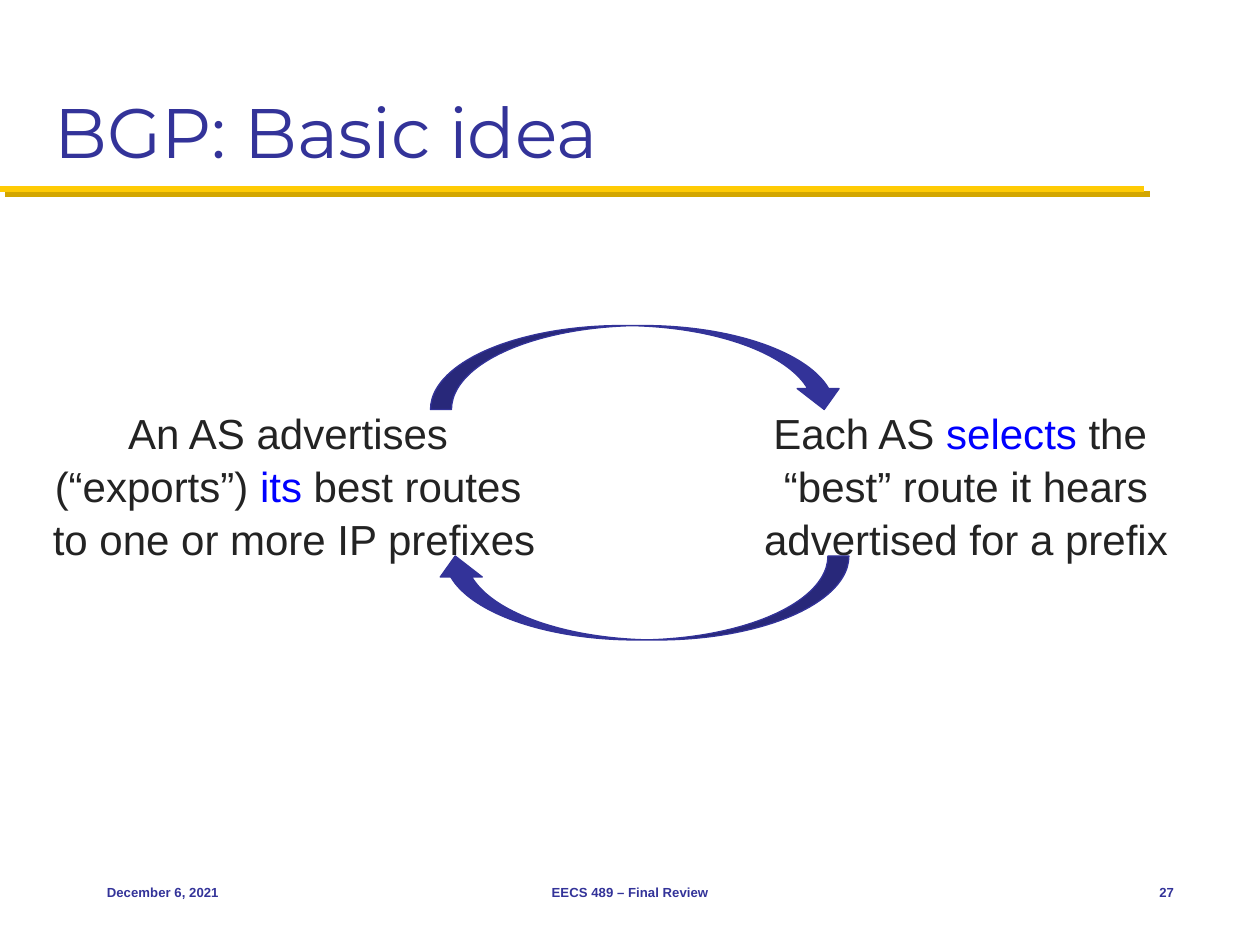
from dataclasses import dataclass

from lxml.etree import SubElement
from pptx import Presentation
from pptx.dml.color import RGBColor
from pptx.enum.shapes import MSO_CONNECTOR as Connector, MSO_SHAPE as Shape
from pptx.enum.text import MSO_ANCHOR as Anchor, PP_ALIGN as Align
from pptx.oxml.ns import qn
from pptx.util import Inches, Pt

CELL = Inches(1) / 12  # the slide is a grid of 120 columns by 90 rows
COLUMNS, ROWS = 120, 90


@dataclass(frozen=True)
class Theme:
    indigo: str = "333399"
    ink: str = "232323"
    accent: str = "0000FF"
    gold: str = "FFCB05"
    dark_gold: str = "D3A600"
    heading_font: str = "Montserrat"
    body_font: str = "Arial"
    title_size: float = 40
    body_size: float = 24
    footer_size: float = 7.5


THEME = Theme()


def grid(*cells):
    return [round(cell * CELL) for cell in cells]


def style_run(run, size, color, font=THEME.body_font, bold=False):
    run.font.name = font
    run.font.size = Pt(size)
    run.font.bold = bold
    run.font.color.rgb = RGBColor.from_string(color)


def add_text_box(slide, area, anchor, align):
    """Add an empty wrapping box and return its first paragraph."""
    frame = slide.shapes.add_textbox(*grid(*area)).text_frame
    frame.word_wrap = True
    frame.vertical_anchor = anchor
    paragraph = frame.paragraphs[0]
    paragraph.alignment = align
    return paragraph


def add_title(slide, title):
    paragraph = add_text_box(slide, (4, 2, 112, 15), Anchor.BOTTOM, Align.LEFT)
    paragraph.text = title
    style_run(paragraph.runs[0], THEME.title_size, THEME.indigo, THEME.heading_font)


def add_title_rule(slide):
    """Draw the gold rule with its hard, darker shadow."""
    rule = slide.shapes.add_connector(Connector.STRAIGHT, *grid(0, 18, 109, 18))
    rule.line.color.rgb = RGBColor.from_string(THEME.gold)
    rule.line.width = Pt(3.5)
    effects = SubElement(rule._element.spPr, qn("a:effectLst"))
    shadow = SubElement(effects, qn("a:outerShdw"), blurRad="0",
                        dist=str(Pt(4.2)), dir=str(45 * 60000),
                        algn="ctr", rotWithShape="0")
    SubElement(shadow, qn("a:srgbClr"), val=THEME.dark_gold)


def add_statement(slide, area, before, keyword, after):
    """Add a centred statement whose keyword stands out in colour."""
    paragraph = add_text_box(slide, area, Anchor.TOP, Align.CENTER)
    paragraph.line_spacing = 1.05
    for words, color in ((before, THEME.ink), (keyword, THEME.accent),
                         (after, THEME.ink)):
        for index, line in enumerate(words.split("\n")):
            if index:
                paragraph.add_line_break()
            run = paragraph.add_run()
            run.text = line
            style_run(run, THEME.body_size, color)


def add_cycle_arrow(slide, left, top, rotation):
    arrow = slide.shapes.add_shape(Shape.CURVED_LEFT_ARROW,
                                   *grid(left, top, 8, 39.5))
    arrow.rotation = rotation
    arrow.shadow.inherit = False
    indigo = RGBColor.from_string(THEME.indigo)
    arrow.fill.solid()
    arrow.fill.fore_color.rgb = indigo
    arrow.line.color.rgb = indigo
    arrow.line.width = Pt(0.75)


def add_footer(slide, left, width, words, align):
    paragraph = add_text_box(slide, (left, 82, width, 6), Anchor.MIDDLE, align)
    paragraph.text = words
    style_run(paragraph.runs[0], THEME.footer_size, THEME.indigo, bold=True)


def main():
    deck = Presentation()
    deck.slide_width, deck.slide_height = grid(COLUMNS, ROWS)
    slide = deck.slides.add_slide(deck.slide_layouts[6])

    add_title_rule(slide)
    add_title(slide, "BGP: Basic idea")

    add_statement(slide, (64, 38, 56, 17), "Each AS ", "selects",
                  " the \n“best” route it hears advertised for a prefix")
    add_cycle_arrow(slide, 56.75, 15.25, 270)
    add_statement(slide, (3, 38, 50, 17), "An AS advertises \n(“exports”) ", "its",
                  " best routes \nto one or more IP prefixes")
    add_cycle_arrow(slide, 57.1, 37.2, 90)

    add_footer(slide, 9, 25, "December 6, 2021", Align.LEFT)
    add_footer(slide, 41, 38, "EECS 489 – Final Review", Align.CENTER)
    add_footer(slide, 105, 8, "27", Align.RIGHT)

    deck.save("out.pptx")


if __name__ == "__main__":
    main()
